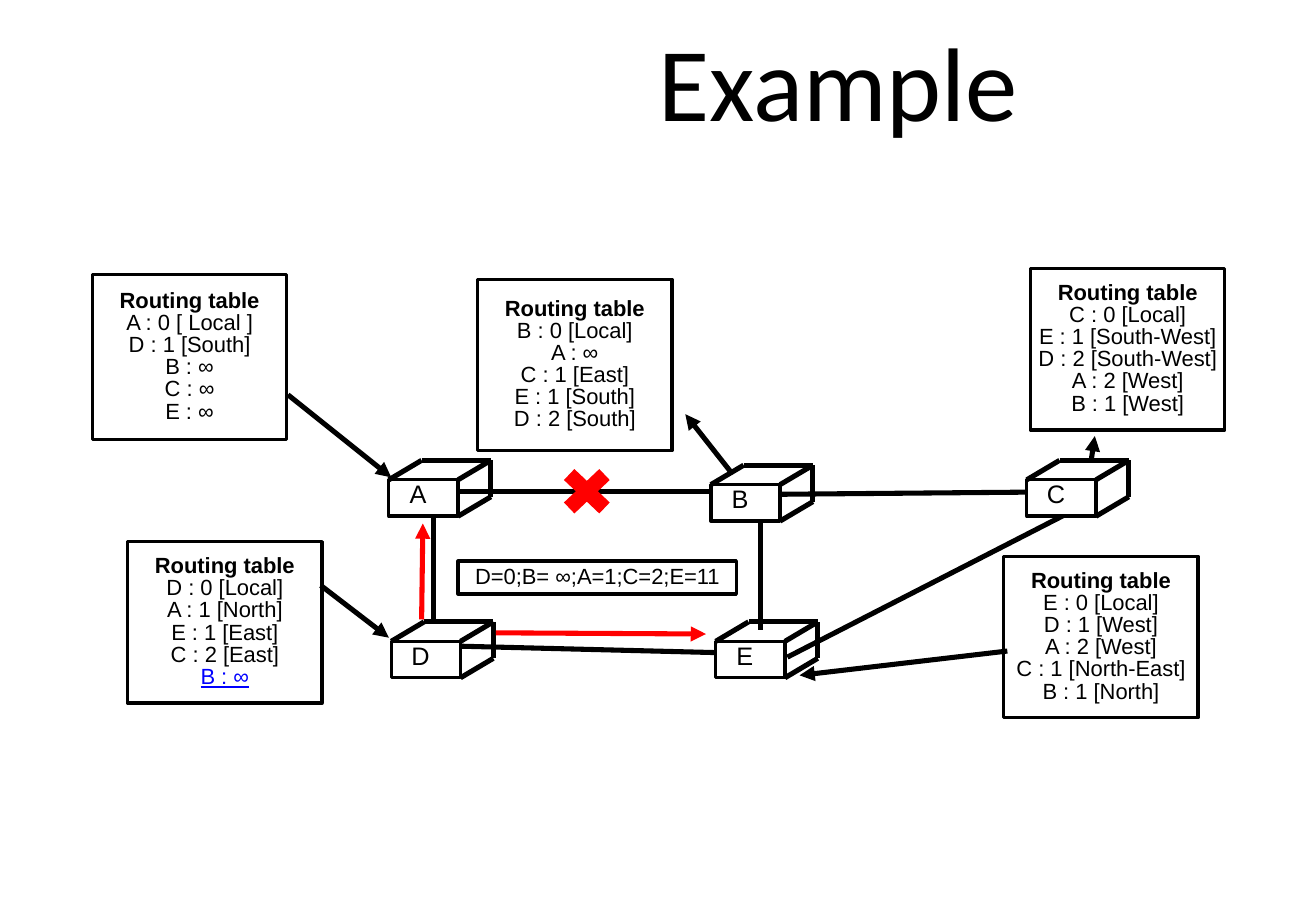
"""Build the routing example slide: five nodes, their routing tables and a failed link."""
from lxml.etree import SubElement
from pptx import Presentation
from pptx.dml.color import RGBColor
from pptx.enum.shapes import MSO_CONNECTOR, MSO_SHAPE
from pptx.enum.text import MSO_ANCHOR, MSO_AUTO_SIZE, PP_ALIGN
from pptx.oxml.ns import qn
from pptx.util import Pt

SCALE = 9144
BLACK = RGBColor(0, 0, 0)
WHITE = RGBColor(255, 255, 255)
RED = RGBColor(255, 0, 0)
BLUE = RGBColor(0, 0, 255)

SLIDE_SIZE = (1083, 750)
TITLE = ("Example", (366, 0, 648, 132))
MESSAGE = ("D=0;B= ∞;A=1;C=2;E=11", (377, 462, 229, 27))
TABLE_HEADING = "Routing table"
TABLE_WIDTH = 160
TABLES = [
    (76, 226, 136, ["A : 0 [ Local ]", "D : 1 [South]", "B : ∞", "C : ∞", "E : ∞"]),
    (848, 221, 133, ["C : 0 [Local]", "E : 1 [South-West]", "D : 2 [South-West]",
                     "A : 2 [West]", "B : 1 [West]"]),
    (826, 458, 133, ["E : 0 [Local]", "D : 1 [West]", "A : 2 [West]",
                     "C : 1 [North-East]", "B : 1 [North]"]),
    (105, 446, 133, ["D : 0 [Local]", "A : 1 [North]", "E : 1 [East]", "C : 2 [East]"]),
    (393, 230, 141, ["B : 0 [Local]", "A : ∞", "C : 1 [East]", "E : 1 [South]",
                     "D : 2 [South]"]),
]
CHANGED_TABLE, CHANGED_ENTRY = 3, "B : ∞"

NODES = {"A": (320, 395), "B": (585, 399), "C": (845, 395), "D": (322, 528), "E": (589, 528)}
FRONT_WIDTH, FRONT_HEIGHT = 57, 30
DEPTH_X, DEPTH_Y = 27, -16
LABEL_INSETS = (0, 0, 9, 3)

LINKS = [
    (357, 424, 357, 511), (378, 532, 618, 538), (373, 405, 615, 405),
    (626, 423, 626, 519), (648, 541, 876, 424), (637, 407, 864, 405),
]
POINTERS = [
    (237, 325, 322, 393), (601, 388, 564, 341), (898, 379, 901, 359),
    (264, 482, 320, 525), (829, 536, 658, 556),
]
UPDATES = [(347, 510, 348, 431), (408, 521, 581, 522)]
FAILURE = (455, 378, 56, 53)


def emu(lengths):
    """Turn px lengths into EMU."""
    return [length * SCALE for length in lengths]


def add_line(page, ends, color=BLACK, arrow=False):
    """Draw a straight line, with an arrowhead at its end if asked."""
    line = page.shapes.add_connector(MSO_CONNECTOR.STRAIGHT, *emu(ends))
    line.line.color.rgb = color
    line.line.width = Pt(3)
    properties = line._element.spPr
    if arrow:
        SubElement(properties.find(qn("a:ln")), qn("a:tailEnd"), type="triangle")
    SubElement(properties, qn("a:effectLst"))


def add_box(page, place, fill=None, insets=(0, 0, 0, 0)):
    """Draw an outlined rectangle that is ready for centred text."""
    box = page.shapes.add_shape(MSO_SHAPE.RECTANGLE, *emu(place))
    box.shadow.inherit = False
    if fill is None:
        box.fill.background()
    else:
        box.fill.solid()
        box.fill.fore_color.rgb = fill
    box.line.color.rgb = BLACK
    box.line.width = Pt(2)
    frame = box.text_frame
    frame.word_wrap = True
    frame.vertical_anchor = MSO_ANCHOR.MIDDLE
    (frame.margin_left, frame.margin_top,
     frame.margin_right, frame.margin_bottom) = emu(insets)
    return frame


def write(para, text, size=13, color=BLACK, font="Arial", spacing=0.84):
    """Add one run to a centred paragraph."""
    para.alignment = PP_ALIGN.CENTER
    para.line_spacing = spacing
    span = para.add_run()
    span.text = text
    span.font.name = font
    span.font.size = Pt(size)
    span.font.color.rgb = color
    return span


def add_title(page):
    """Move and format the title placeholder."""
    text, place = TITLE
    title = page.shapes.title
    title.left, title.top, title.width, title.height = emu(place)
    frame = title.text_frame
    frame.auto_size = MSO_AUTO_SIZE.NONE
    frame.vertical_anchor = MSO_ANCHOR.MIDDLE
    (frame.margin_left, frame.margin_top,
     frame.margin_right, frame.margin_bottom) = emu([4] * 4)
    write(frame.paragraphs[0], text, size=62, font="Calibri", spacing=1.0)


def add_node(page, name, left, top):
    """Draw a node as a labelled front face with the edges of a box behind it."""
    frame = add_box(page, (left, top, FRONT_WIDTH, FRONT_HEIGHT), WHITE, LABEL_INSETS)
    write(frame.paragraphs[0], name, size=15)
    right, bottom = left + FRONT_WIDTH, top + FRONT_HEIGHT
    corners = [(left, top), (right, top), (right, bottom)]
    back = [(x + DEPTH_X, y + DEPTH_Y) for x, y in corners]
    for start, end in [*zip(corners, back), *zip(back, back[1:])]:
        add_line(page, start + end)


def add_table_box(page, left, top, height, entries):
    """Draw one routing table as a bold heading above its entries."""
    frame = add_box(page, (left, top, TABLE_WIDTH, height))
    write(frame.paragraphs[0], TABLE_HEADING).font.bold = True
    for entry in entries:
        write(frame.add_paragraph(), entry)
    return frame


def main():
    """Assemble and save the deck."""
    deck = Presentation()
    deck.slide_width, deck.slide_height = emu(SLIDE_SIZE)
    page = deck.slides.add_slide(deck.slide_layouts[5])
    add_title(page)
    for ends in LINKS:
        add_line(page, ends)
    for name, corner in NODES.items():
        add_node(page, name, *corner)
    frames = [add_table_box(page, *table) for table in TABLES]
    changed = write(frames[CHANGED_TABLE].add_paragraph(), CHANGED_ENTRY, color=BLUE)
    changed.font.underline = True
    for ends in POINTERS:
        add_line(page, ends, arrow=True)
    text, place = MESSAGE
    write(add_box(page, place).paragraphs[0], text)
    for ends in UPDATES:
        add_line(page, ends, RED, arrow=True)
    failure = page.shapes.add_shape(MSO_SHAPE.MATH_MULTIPLY, *emu(FAILURE))
    failure.shadow.inherit = False
    failure.fill.solid()
    failure.fill.fore_color.rgb = RED
    failure.line.fill.background()
    deck.save("out.pptx")


if __name__ == "__main__":
    main()
